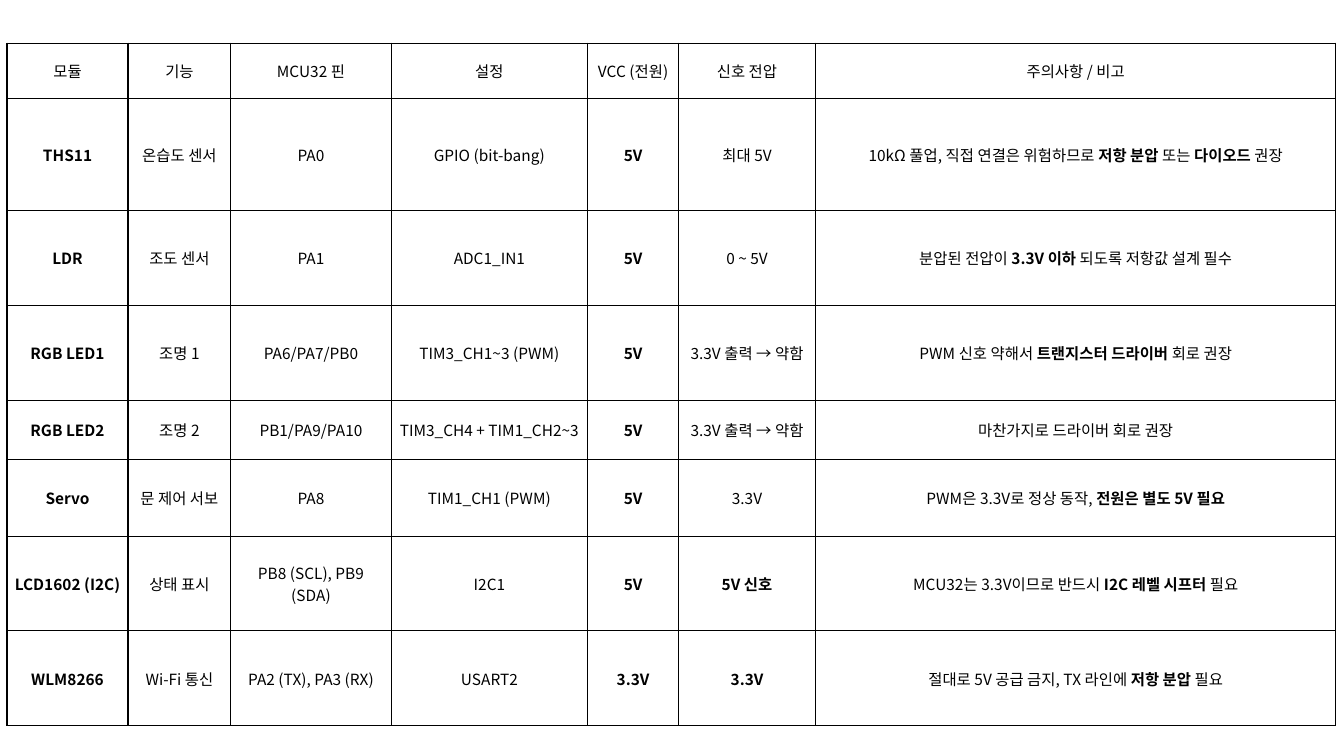
from dataclasses import dataclass

from lxml.etree import SubElement
from pptx import Presentation
from pptx.dml.color import RGBColor as Rgb
from pptx.enum.text import MSO_ANCHOR as Anchor, PP_ALIGN as Align
from pptx.oxml import parse_xml
from pptx.oxml.ns import qn
from pptx.util import Inches, Pt

HEAD = ("모듈", "기능", "MCU32 핀", "설정", "VCC (전원)", "신호 전압", "주의사항 / 비고")
BODY = [
    ("THS11", "온습도 센서", "PA0", "GPIO (bit-bang)", "5V", "최대 5V",
     "10kΩ 풀업, 직접 연결은 위험하므로 **저항 분압** 또는 **다이오드** 권장"),
    ("LDR", "조도 센서", "PA1", "ADC1_IN1", "5V", "0 ~ 5V",
     "분압된 전압이 **3.3V 이하** 되도록 저항값 설계 필수"),
    ("RGB LED1", "조명 1", "PA6/PA7/PB0", "TIM3_CH1~3 (PWM)", "5V", "3.3V 출력 → 약함",
     "PWM 신호 약해서 **트랜지스터 드라이버** 회로 권장"),
    ("RGB LED2", "조명 2", "PB1/PA9/PA10", "TIM3_CH4 + TIM1_CH2~3", "5V", "3.3V 출력 → 약함",
     "마찬가지로 드라이버 회로 권장"),
    ("Servo", "문 제어 서보", "PA8", "TIM1_CH1 (PWM)", "5V", "3.3V",
     "PWM은 3.3V로 정상 동작, **전원은 별도 5V 필요**"),
    ("LCD1602 (I2C)", "상태 표시", "PB8 (SCL), PB9 (SDA)", "I2C1", "5V", "**5V 신호**",
     "MCU32는 3.3V이므로 반드시 **I2C 레벨 시프터** 필요"),
    ("WLM8266", "Wi-Fi 통신", "PA2 (TX), PA3 (RX)", "USART2", "3.3V", "**3.3V**",
     "절대로 5V 공급 금지, TX 라인에 **저항 분압** 필요"),
]
BOLD_COLS = (0, 4)
WIDTHS = (1.2, 1.02, 1.59, 1.95, 0.9, 1.36, 5.16)
HEIGHTS = (0.55, 1.11, 0.94, 0.94, 0.59, 0.76, 0.94, 0.94)
LEFT, TOP = 0.07, 0.43
PAD_X, PAD_Y = 0.06, 0.03


@dataclass(frozen=True)
class Theme:
    font: str = "Noto Sans CJK KR"
    size: int = 11
    ink: str = "000000"
    rule: int = 1


THEME = Theme()


def write(frame, text, bold=False, align=Align.CENTER):
    """Write text, with bold toggled by each pair of asterisks."""
    para = frame.paragraphs[0]
    para.alignment = align
    for n, part in enumerate(text.split("**")):
        if part:
            run = para.add_run()
            run.text = part
            font = run.font
            font.name, font.size = THEME.font, Pt(THEME.size)
            font.bold = bold or n % 2 == 1
            font.color.rgb = Rgb.from_string(THEME.ink)
            SubElement(font._element, qn("a:ea"), typeface=THEME.font)


def border(cell):
    """Draw a solid rule on all four sides of a cell."""
    props = cell._tc.get_or_add_tcPr()
    for n, side in enumerate("LRTB"):
        props.insert(n, parse_xml(
            f'<a:ln{side} xmlns:a="http://schemas.openxmlformats.org/drawingml/2006/main" '
            f'w="{Pt(THEME.rule)}"><a:solidFill><a:srgbClr val="{THEME.ink}"/></a:solidFill>'
            f'<a:prstDash val="solid"/></a:ln{side}>'))


def build():
    """Build the module wiring table and save it."""
    deck = Presentation()
    deck.slide_width, deck.slide_height = Inches(13.33), Inches(7.5)
    slide = deck.slides.add_slide(deck.slide_layouts[6])
    rows = [HEAD, *BODY]
    table = slide.shapes.add_table(
        len(rows), len(HEAD), Inches(LEFT), Inches(TOP),
        Inches(sum(WIDTHS)), Inches(sum(HEIGHTS))).table
    table.first_row = table.horz_banding = False
    for col, width in zip(table.columns, WIDTHS):
        col.width = Inches(width)
    for r, (row, height) in enumerate(zip(rows, HEIGHTS)):
        table.rows[r].height = Inches(height)
        for c, text in enumerate(row):
            cell = table.cell(r, c)
            cell.fill.background()
            cell.vertical_anchor = Anchor.MIDDLE
            cell.margin_left = cell.margin_right = Inches(PAD_X)
            cell.margin_top = cell.margin_bottom = Inches(PAD_Y)
            write(cell.text_frame, text, bold=r > 0 and c in BOLD_COLS)
            border(cell)
    deck.save("out.pptx")


if __name__ == "__main__":
    build()
